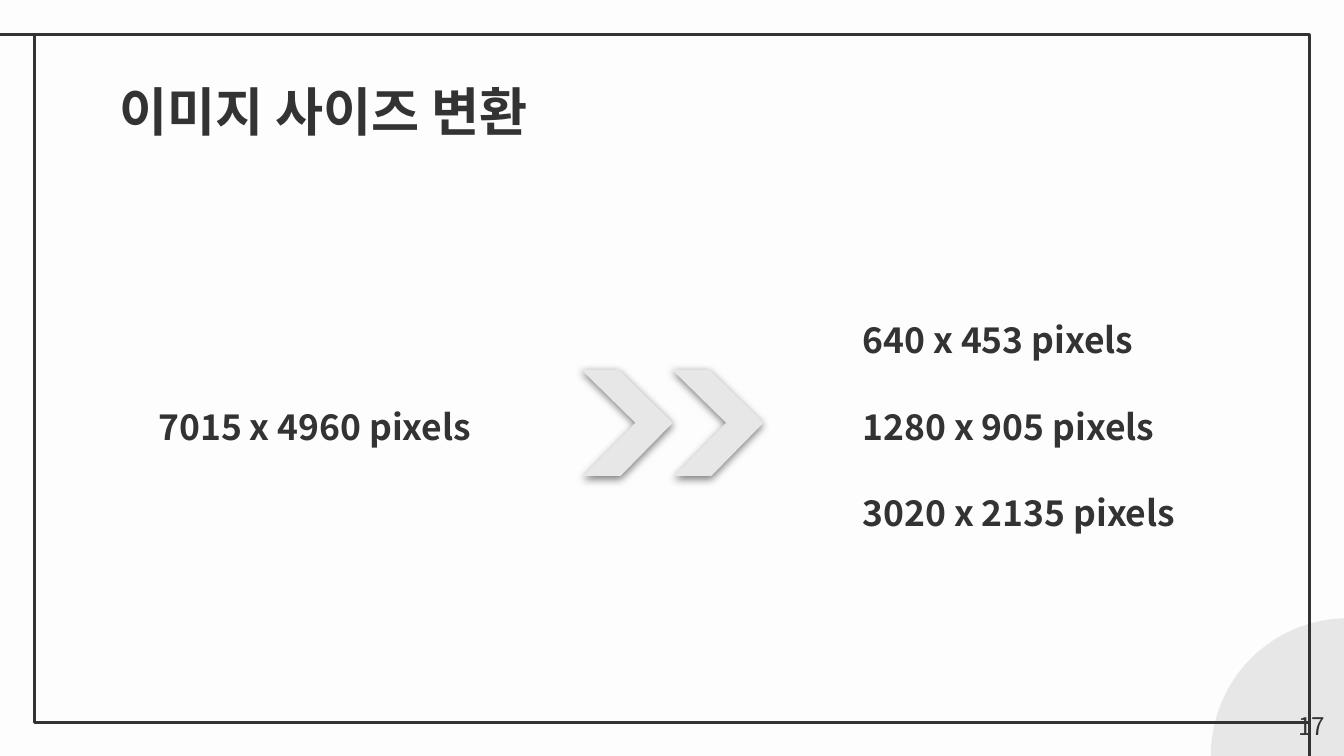
"""Build the image size conversion slide."""
import lxml.etree
import pptx
import pptx.dml.color
import pptx.enum.shapes
import pptx.enum.text
import pptx.oxml
import pptx.oxml.ns
import pptx.util

Pt = pptx.util.Pt
SHAPE = pptx.enum.shapes.MSO_SHAPE
ALIGN = pptx.enum.text.PP_ALIGN
ANCHOR = pptx.enum.text.MSO_ANCHOR
qn = pptx.oxml.ns.qn

COLORS = {"background": "FDFDFD", "ink": "333333", "gray": "E8E7E7"}
FONT = "Noto Sans CJK KR"
SHADOW = (
    '<a:outerShdw xmlns:a="http://schemas.openxmlformats.org/drawingml/2006/main" '
    'blurRad="57150" dist="19050" dir="5400000" algn="bl" rotWithShape="0">'
    '<a:srgbClr val="000000"><a:alpha val="50000"/></a:srgbClr></a:outerShdw>'
)


def rgb(name):
    return pptx.dml.color.RGBColor.from_string(COLORS[name])


class SlideBuilder:
    def __init__(self, prs):
        self.slide = prs.slides.add_slide(prs.slide_layouts[5])
        self.shapes = self.slide.shapes
        fill = self.slide.background.fill
        fill.solid()
        fill.fore_color.rgb = rgb("background")

    def paint(self, sp, fill=None, line=None):
        sp.shadow.inherit = False
        if fill:
            sp.fill.solid()
            sp.fill.fore_color.rgb = rgb(fill)
        else:
            sp.fill.background()
        if line:
            sp.line.color.rgb = rgb(line)
            sp.line.width = Pt(1.5)
        else:
            sp.line.fill.background()

    def shape(self, kind, box, **style):
        sp = self.shapes.add_shape(kind, *map(Pt, box))
        self.paint(sp, **style)

    def line(self, x1, y1, x2, y2):
        kind = pptx.enum.shapes.MSO_CONNECTOR.STRAIGHT
        cxn = self.shapes.add_connector(kind, Pt(x1), Pt(y1), Pt(x2), Pt(y2))
        cxn.line.color.rgb = rgb("ink")
        cxn.line.width = Pt(1.5)
        lxml.etree.SubElement(cxn._element.spPr, qn("a:effectLst"))

    def chevrons(self, lefts, top):
        outline = [(20, 0), (49, 28.5), (21, 57), (1, 57), (29, 28.5), (0, 0)]
        group = self.shapes.add_group_shape()
        for left in lefts:
            points = [(Pt(left + x), Pt(top + y)) for x, y in outline]
            builder = group.shapes.build_freeform(*points[0])
            builder.add_line_segments(points[1:], close=True)
            sp = builder.convert_to_shape()
            self.paint(sp, fill="gray")
            effects = sp._element.spPr.find(qn("a:effectLst"))
            effects.append(pptx.oxml.parse_xml(SHADOW))

    def set_text(self, sp, lines, size, bold=True, align=ALIGN.LEFT,
                 anchor=ANCHOR.TOP, spacing=1, gap=0):
        tf = sp.text_frame
        tf.word_wrap = True
        tf.vertical_anchor = anchor
        tf.margin_left = tf.margin_right = tf.margin_top = tf.margin_bottom = Pt(7.2)
        for i, text in enumerate(lines):
            p = tf.add_paragraph() if i else tf.paragraphs[0]
            p.text = text
            p.alignment = align
            p.line_spacing = spacing
            p.space_before = Pt(gap if i else 0)
            p.font.name = FONT
            p.font.size = Pt(size)
            p.font.bold = bold
            p.font.color.rgb = rgb("ink")
            latin = p._p.pPr.find(qn("a:defRPr")).find(qn("a:latin"))
            east_asian = pptx.oxml.parse_xml(
                '<a:ea xmlns:a="http://schemas.openxmlformats.org/drawingml/2006/main" '
                f'typeface="{FONT}"/>')
            latin.addnext(east_asian)

    def title(self, text, box):
        sp = self.shapes.title
        sp.left, sp.top, sp.width, sp.height = map(Pt, box)
        self.set_text(sp, [text], 28)

    def text(self, lines, box, size, **style):
        sp = self.shapes.add_textbox(*map(Pt, box))
        self.set_text(sp, lines, size, **style)


def main():
    prs = pptx.Presentation()
    prs.slide_width, prs.slide_height = Pt(720), Pt(405)
    s = SlideBuilder(prs)
    s.shape(SHAPE.OVAL, (648.7, 331.2, 147, 147), fill="gray")
    s.shape(SHAPE.RECTANGLE, (18.3, 18.3, 683.4, 368.7), line="ink")
    s.line(18.3, 18.3, -1.5, 18.3)
    s.line(701.7, 387, 701.7, 414)
    s.title("이미지 사이즈 변환", (57, 35.3, 607, 45.4))
    sizes = {"size": 19, "anchor": ANCHOR.MIDDLE, "spacing": 1.15}
    s.text(["7015 x 4960 pixels"], (77.8, 209.5, 190, 34.6), **sizes)
    s.chevrons((311.4, 360), 198)
    s.text(["640 x 453 pixels", "1280 x 905 pixels", "3020 x 2135 pixels"],
           (455, 134, 202.3, 185), gap=20.4, **sizes)
    s.text(["17"], (674, 373.7, 43, 31), 13, bold=False, align=ALIGN.RIGHT)
    prs.save("out.pptx")


if __name__ == "__main__":
    main()
